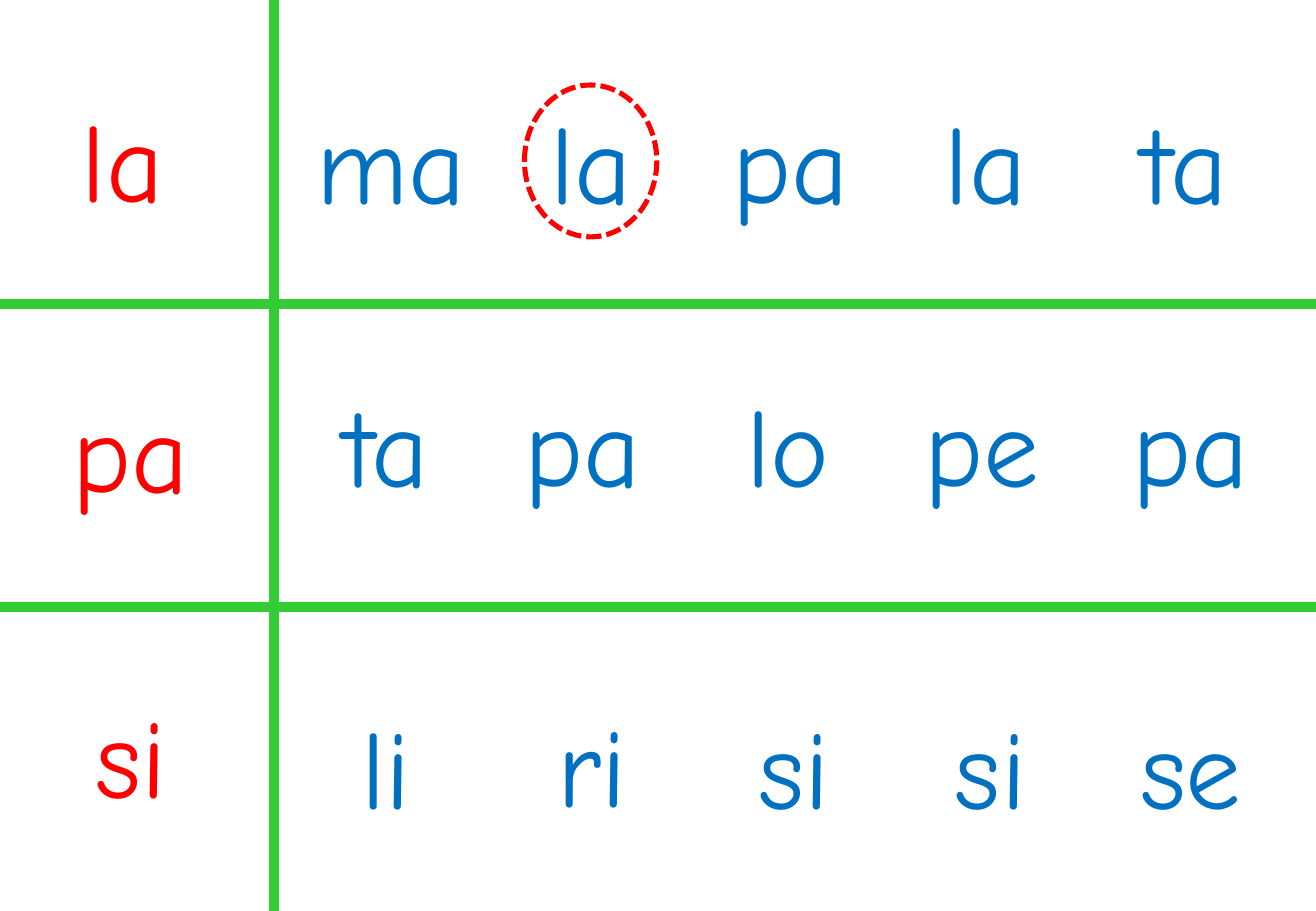
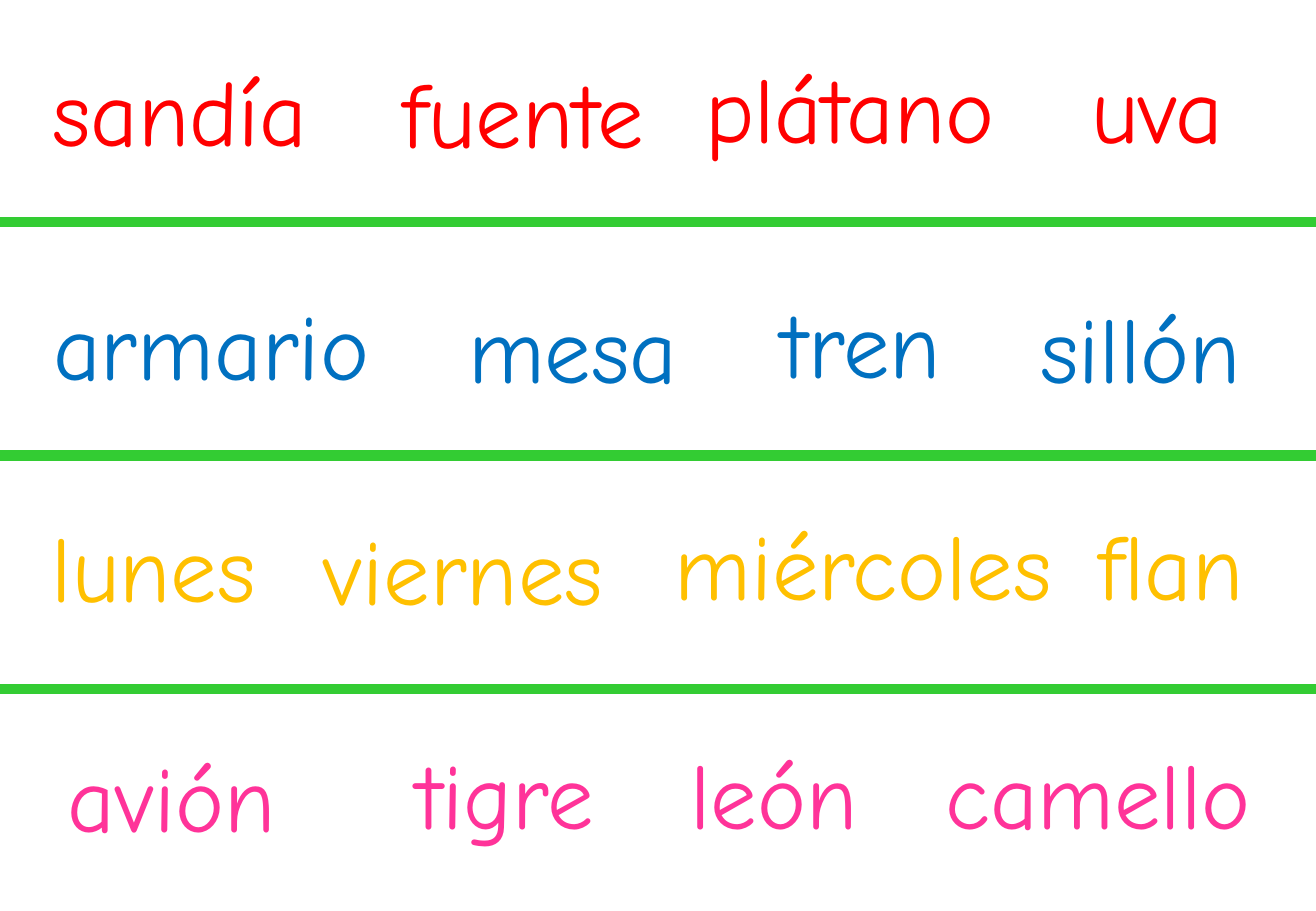
"""Build two reading worksheets: matching syllables and reading words."""
from lxml import etree
from pptx import Presentation
from pptx.dml.color import RGBColor
from pptx.enum.dml import MSO_LINE_DASH_STYLE as Dash
from pptx.enum.shapes import MSO_CONNECTOR as Connector, MSO_SHAPE as Shape
from pptx.enum.text import MSO_AUTO_SIZE as AutoSize, PP_ALIGN as Align
from pptx.oxml.ns import qn
from pptx.util import Inches, Pt

WIDTH, HEIGHT = 10.84, 7.5
SLACK = 0.02
FONT = "Comic Neue"
GREEN, RED, BLUE, YELLOW, PINK = "33CC33", "FF0000", "0070C0", "FFC000", "FF3399"
SYLLABLE = {"size": 66, "height": 1.2, "align": Align.CENTER}
WORD = {"size": 55, "height": 1.02, "align": Align.LEFT}


def add_rule(page, *ends):
    rule = page.shapes.add_connector(Connector.STRAIGHT, *map(Inches, ends))
    rule.line.color.rgb = RGBColor.from_string(GREEN)
    rule.line.width = Pt(6)
    etree.SubElement(rule._element.spPr, qn("a:effectLst"))


def add_word(page, text, left, top, width, color, style):
    place = (left - SLACK / 2, top, width + SLACK, style["height"])
    box = page.shapes.add_textbox(*map(Inches, place))
    frame = box.text_frame
    frame.word_wrap = False
    frame.auto_size = AutoSize.SHAPE_TO_FIT_TEXT
    para = frame.paragraphs[0]
    para.alignment = style["align"]
    span = para.add_run()
    span.text = text
    for name, value in {"name": FONT, "size": Pt(style["size"])}.items():
        setattr(span.font, name, value)
    span.font.color.rgb = RGBColor.from_string(color)


deck = Presentation()
deck.slide_width, deck.slide_height = Inches(WIDTH), Inches(HEIGHT)
blank = deck.slide_layouts[6]

syllable_widths = {
    "la": 0.87, "pa": 1.16, "si": 0.79, "ma": 1.43, "ta": 0.93,
    "lo": 0.88, "pe": 1.14, "li": 0.61, "ri": 0.77, "se": 1.04,
}
models = [("la", 1.01, 0.7), ("pa", 1.08, 0.6), ("si", 1.08, 0.61)]
choices = [
    [("ma", 3.22, 0.72), ("la", 4.87, 0.72), ("pa", 6.51, 0.72),
     ("la", 8.12, 0.72), ("ta", 9.76, 0.72)],
    [("ta", 3.18, 0.55), ("pa", 4.8, 0.55), ("lo", 6.49, 0.55),
     ("pe", 8.09, 0.55), ("pa", 9.81, 0.55)],
    [("li", 3.18, 0.7), ("ri", 4.88, 0.68), ("si", 6.54, 0.7),
     ("si", 8.16, 0.7), ("se", 9.81, 0.7)],
]
syllable_row = HEIGHT / len(models)
model_column = 2.26

page = deck.slides.add_slide(blank)
add_rule(page, model_column, 0, model_column, HEIGHT)
for row, model in enumerate(models):
    row_top = row * syllable_row
    if row:
        add_rule(page, 0, row_top, WIDTH, row_top)
    for text, center, offset in [model, *choices[row]]:
        width = syllable_widths[text]
        color = RED if center < model_column else BLUE
        add_word(page, text, center - width / 2, row_top + offset, width, color, SYLLABLE)

ring = page.shapes.add_shape(Shape.OVAL, *map(Inches, (4.32, 0.7, 1.09, 1.25)))
ring.shadow.inherit = False
ring.fill.background()
ring.line.color.rgb = RGBColor.from_string(RED)
for name, value in {"width": Pt(3), "dash_style": Dash.SQUARE_DOT}.items():
    setattr(ring.line, name, value)

word_rows = [
    (RED, [("sandía", 0.34, 0.48, 2.3), ("fuente", 3.23, 0.5, 2.21),
           ("plátano", 5.72, 0.46, 2.6), ("uva", 8.9, 0.46, 1.3)]),
    (BLUE, [("armario", 0.35, 0.49, 2.8), ("mesa", 3.77, 0.51, 1.92),
            ("tren", 6.35, 0.47, 1.52), ("sillón", 8.48, 0.51, 1.85)]),
    (YELLOW, [("lunes", 0.34, 0.4, 1.88), ("viernes", 2.58, 0.42, 2.5),
              ("miércoles", 5.47, 0.38, 3.33), ("flan", 8.96, 0.38, 1.39)]),
    (PINK, [("avión", 0.47, 0.37, 1.91), ("tigre", 3.34, 0.35, 1.68),
            ("león", 5.6, 0.35, 1.57), ("camello", 7.7, 0.35, 2.71)]),
]
word_row = 1.92
first_top = HEIGHT / 2 - 2 * word_row

page = deck.slides.add_slide(blank)
for row, (color, words) in enumerate(word_rows):
    row_top = first_top + row * word_row
    if row:
        add_rule(page, 0, row_top, WIDTH, row_top)
    for text, left, offset, width in words:
        add_word(page, text, left, row_top + offset, width, color, WORD)

deck.save("out.pptx")
